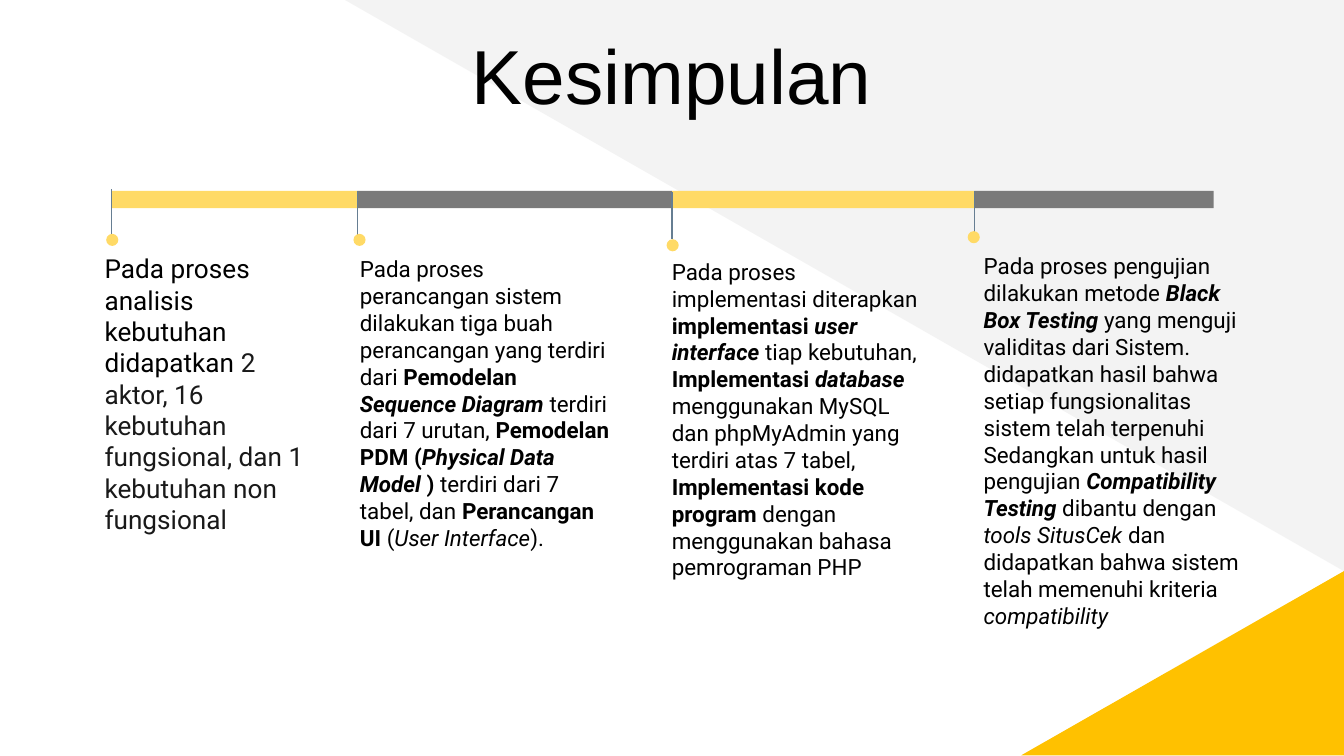
from pptx import Presentation
from pptx.dml.color import RGBColor
from pptx.enum.shapes import MSO_CONNECTOR, MSO_SHAPE
from pptx.enum.text import MSO_ANCHOR, MSO_AUTO_SIZE, PP_ALIGN
from pptx.oxml.ns import qn
from pptx.util import Inches, Pt
from lxml import etree

RECT, OVAL, WEDGE = MSO_SHAPE.RECTANGLE, MSO_SHAPE.OVAL, MSO_SHAPE.RIGHT_TRIANGLE
LINE = MSO_CONNECTOR.STRAIGHT
TOP, CENTER, FIT = MSO_ANCHOR.TOP, PP_ALIGN.CENTER, MSO_AUTO_SIZE.NONE

COLORS = {"pale": "F3F3F3", "gold": "FFC100", "yellow": "FFDA66",
          "grey": "7A7A7A", "stem": "667E92", "black": "000000", "ink": "191919"}
BOLD, ITALIC = {"bold": True}, {"italic": True}
BOTH = {**BOLD, **ITALIC}


def color(name):
    return RGBColor.from_string(COLORS[name])


def write(para, text, size=12, face="Roboto", tone="black", bold=False, italic=False):
    run = para.add_run()
    run.text = text
    font = run.font
    font.size, font.name = Pt(size), face
    font.bold, font.italic = bold, italic
    font.color.rgb = color(tone)


class Deck:
    def __init__(self):
        self.prs = Presentation()
        # Widescreen, 16 to 9
        self.prs.slide_width, self.prs.slide_height = Inches(10), Inches(10 * 9 / 16)
        self.slide = self.prs.slides.add_slide(self.prs.slide_layouts[5])

    def title(self, text, x, y, w, h):
        box = self.slide.shapes.title
        box.left, box.top, box.width, box.height = map(Inches, (x, y, w, h))
        frame = box.text_frame
        frame.auto_size, frame.vertical_anchor = FIT, TOP
        frame.margin_left = frame.margin_right = Inches(0.1)
        frame.margin_top = frame.margin_bottom = Inches(0.1)
        para = frame.paragraphs[0]
        para.alignment = CENTER
        write(para, text, size=41, face="Arial")

    def shape(self, kind, x, y, w, h, fill):
        item = self.slide.shapes.add_shape(kind, *map(Inches, (x, y, w, h)))
        item.shadow.inherit = False
        item.fill.solid()
        item.fill.fore_color.rgb = color(fill)
        item.line.fill.background()
        return item

    def wedge(self, x, y, w, h, fill, turn=0, flip=False):
        item = self.shape(WEDGE, x, y, w, h, fill)
        item.rotation = turn
        if flip:
            item._element.spPr.find(qn("a:xfrm")).set("flipH", "1")
        # Keep the backdrop behind the title
        self.slide.shapes.title._element.addprevious(item._element)

    def stem(self, x, top, end):
        line = self.slide.shapes.add_connector(LINE, *map(Inches, (x, end, x, top)))
        line.line.color.rgb = color("stem")
        line.line.width = Pt(0.75)
        etree.SubElement(line._element.spPr, qn("a:effectLst"))

    def text(self, parts, x, y, w, h, size):
        box = self.slide.shapes.add_textbox(*map(Inches, (x, y, w, h)))
        frame = box.text_frame
        frame.word_wrap = True
        para = frame.paragraphs[0]
        para.line_spacing = Pt(size * 1.2)
        for words, style in parts:
            write(para, words, size=size, **style)


NEEDS = [
    ("Pada proses analisis kebutuhan didapatkan ", {}),
    ("2 aktor, 16 kebutuhan fungsional, dan 1 kebutuhan non fungsional", {"tone": "ink"}),
]
DESIGN = [
    ("Pada proses perancangan sistem dilakukan tiga buah perancangan yang terdiri dari ", {}),
    ("Pemodelan ", BOLD), ("Sequence Diagram ", BOTH),
    ("terdiri dari 7 urutan, ", {}),
    ("Pemodelan PDM (", BOLD), ("Physical Data Model ", BOTH), (") ", BOLD),
    ("terdiri dari 7 tabel, dan ", {}),
    ("Perancangan UI ", BOLD), ("(", {}), ("User Interface", ITALIC), (").", {}),
]
BUILD = [
    ("Pada proses implementasi diterapkan ", {}),
    ("implementasi ", BOLD), ("user interface ", BOTH),
    ("tiap kebutuhan, ", {}),
    ("Implementasi ", BOLD), ("database ", BOTH),
    ("menggunakan MySQL dan phpMyAdmin yang terdiri atas 7 tabel, ", {}),
    ("Implementasi kode program ", BOLD),
    ("dengan menggunakan bahasa pemrograman PHP", {}),
]
TESTS = [
    ("Pada proses pengujian dilakukan metode ", {}),
    ("Black Box Testing ", BOTH),
    ("yang menguji validitas dari Sistem. didapatkan hasil bahwa setiap fungsionalitas "
     "sistem telah terpenuhi Sedangkan untuk hasil pengujian ", {}),
    ("Compatibility Testing ", BOTH),
    ("dibantu dengan ", {}), ("tools SitusCek", ITALIC),
    (" dan didapatkan bahwa sistem telah memenuhi kriteria ", {}),
    ("compatibility", ITALIC),
]

# Bar start, stem top, stem end, dot place, text place, text size, words
STEPS = [
    (0.83, 1.41, 1.75, (0.79, 1.74), (0.68, 1.83, 1.73, 2.22), 14, NEEDS),
    (2.66, 1.42, 1.76, (2.63, 1.74), (2.58, 1.85, 2.07, 2.52), 12, DESIGN),
    (5, 1.43, 1.78, (4.96, 1.78), (4.9, 1.87, 2.11, 2.52), 12, BUILD),
    (7.25, 1.42, 1.76, (7.2, 1.72), (7.22, 1.83, 2.11, 3.13), 12, TESTS),
]
END = 9.03


def main():
    deck = Deck()

    # Backdrop and title
    deck.wedge(2.55, -0.01, 7.45, 4.26, "pale", turn=180)
    deck.wedge(7.6, 4.25, 2.4, 1.37, "gold", flip=True)
    deck.title("Kesimpulan", 0.57, 0.11, 8.86, 0.63)

    # Timeline bars
    edges = [step[0] for step in STEPS] + [END]
    for i, (left, right) in enumerate(zip(edges, edges[1:])):
        deck.shape(RECT, left, 1.42, right - left, 0.13, ("yellow", "grey")[i % 2])

    # Stems, dots and texts
    for x, top, end, dot, place, size, words in STEPS:
        deck.stem(x, top, end)
        deck.shape(OVAL, *dot, 0.09, 0.09, "yellow")
        deck.text(words, *place, size)

    deck.prs.save("out.pptx")


if __name__ == "__main__":
    main()
